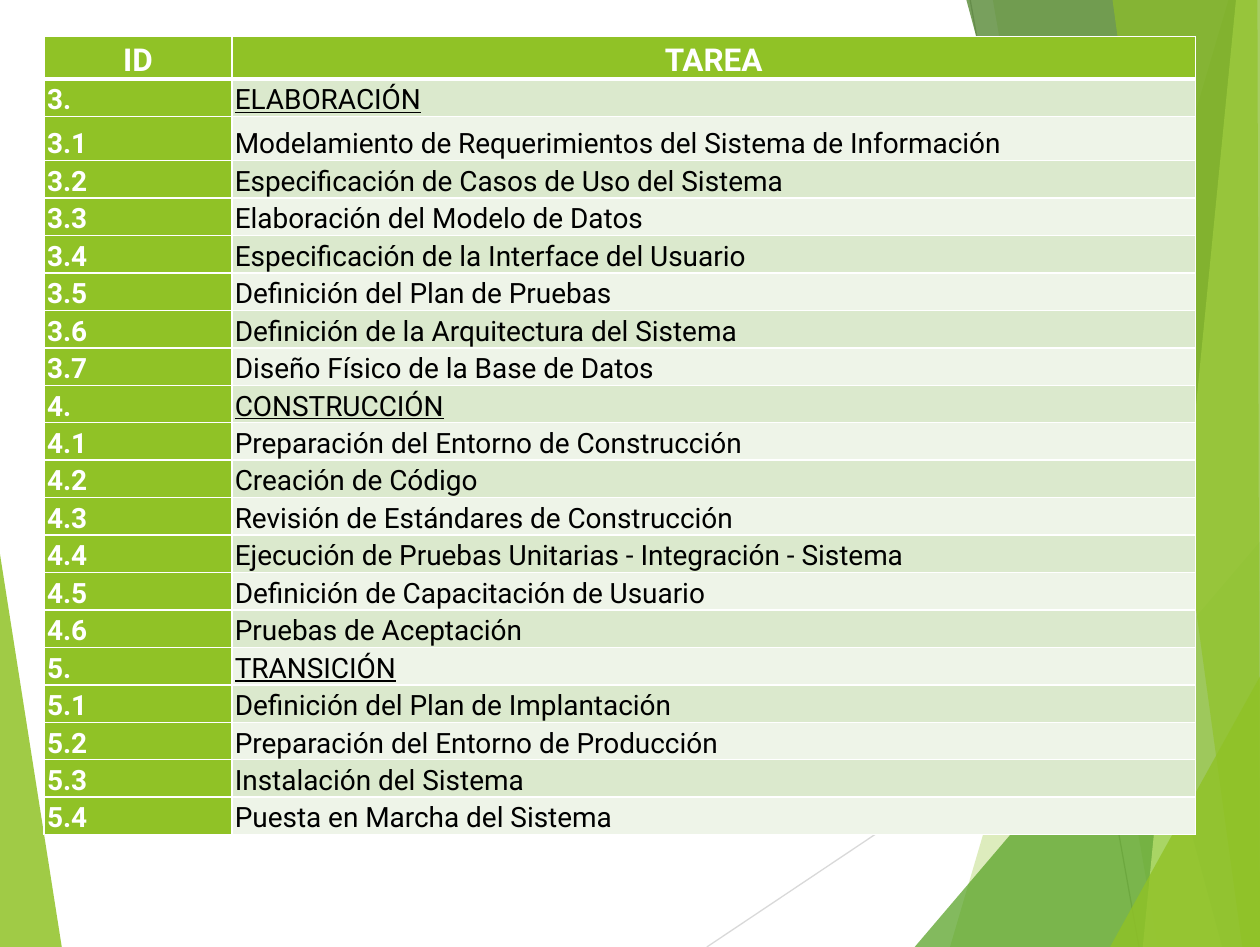
from pptx import Presentation
from pptx.dml.color import RGBColor
from pptx.enum.shapes import MSO_CONNECTOR
from pptx.enum.text import MSO_ANCHOR, PP_ALIGN
from pptx.oxml import parse_xml
from pptx.oxml.ns import nsdecls, qn
from pptx.util import Inches, Pt
from lxml.etree import SubElement

WIDTH, HEIGHT = 10, Pt(541.25).inches

THEME = {
    "font": "Roboto",
    "header_size": 18,
    "body_size": 16,
    "line_spacing": 1.15,
    "green": "90C226",
    "forest": "54A021",
    "dark_green": "3F7819",
    "lime": "C0E474",
    "bands": ("DBE9CD", "EEF4E8"),
    "white": "FFFFFF",
    "black": "000000",
    "light_gray": "D9D9D9",
    "gray": "BFBFBF",
}

HEADERS = ("ID", "TAREA")
PHASES = [
    (3, "ELABORACIÓN", [
        "Modelamiento de Requerimientos del Sistema de Información",
        "Especificación de Casos de Uso del Sistema",
        "Elaboración del Modelo de Datos",
        "Especificación de la Interface del Usuario",
        "Definición del Plan de Pruebas",
        "Definición de la Arquitectura del Sistema",
        "Diseño Físico de la Base de Datos",
    ]),
    (4, "CONSTRUCCIÓN", [
        "Preparación del Entorno de Construcción",
        "Creación de Código",
        "Revisión de Estándares de Construcción",
        "Ejecución de Pruebas Unitarias - Integración - Sistema",
        "Definición de Capacitación de Usuario",
        "Pruebas de Aceptación",
    ]),
    (5, "TRANSICIÓN", [
        "Definición del Plan de Implantación",
        "Preparación del Entorno de Producción",
        "Instalación del Sistema",
        "Puesta en Marcha del Sistema",
    ]),
]

TABLE_LEFT, TABLE_TOP = 0.35, 0.29
COLUMN_WIDTHS = (1.49, 7.65)
HEADER_HEIGHT, ROW_HEIGHT, TALL_ROW_HEIGHT = 0.32, 0.28, 0.35
TALL_ROW = 2

LEFT_FACET = ("green", 85, [(0, 4.4), (0.49, HEIGHT), (0, HEIGHT)])
RAYS = [
    ("light_gray", (5.61, HEIGHT), (WIDTH, 4.58)),
    ("gray", (7.7, 0), (9.04, HEIGHT)),
]
RIGHT_FACETS = [
    ("green", 30, [(9.75, 0), (7.54, HEIGHT), (WIDTH, HEIGHT), (WIDTH, 0)]),
    ("green", 20, [(7.88, 0), (9.19, HEIGHT), (WIDTH, HEIGHT), (WIDTH, 0)]),
    ("forest", 72, [(7.26, HEIGHT), (WIDTH, 4.3), (WIDTH, HEIGHT)]),
    ("dark_green", 70, [(7.67, 0), (9.7, HEIGHT), (WIDTH, HEIGHT), (WIDTH, 0)]),
    ("lime", 70, [(9.81, 0), (9.07, HEIGHT), (WIDTH, HEIGHT), (WIDTH, 0)]),
    ("green", 65, [(8.83, 0), (9.86, HEIGHT), (WIDTH, HEIGHT), (9.98, 0)]),
    ("green", 80, [(8.81, HEIGHT), (WIDTH, 5.37), (WIDTH, HEIGHT)]),
]


def color(value):
    return RGBColor.from_string(value)


def add_facet(slide, color_name, opacity, points):
    corners = [(Inches(x), Inches(y)) for x, y in points]
    builder = slide.shapes.build_freeform(*corners[0], scale=1.0)
    builder.add_line_segments(corners[1:], close=True)
    shape = builder.convert_to_shape()
    shape.shadow.inherit = False
    shape.fill.solid()
    shape.fill.fore_color.rgb = color(THEME[color_name])
    shape.line.fill.background()
    fill_color = shape.element.spPr.find(f"{qn('a:solidFill')}/{qn('a:srgbClr')}")
    SubElement(fill_color, qn("a:alpha")).set("val", str(opacity * 1000))


def add_ray(slide, color_name, start, end):
    ends = [Inches(value) for value in (*start, *end)]
    connector = slide.shapes.add_connector(MSO_CONNECTOR.STRAIGHT, *ends)
    connector.line.color.rgb = color(THEME[color_name])
    connector.line.width = Pt(0.75)
    SubElement(connector.element.spPr, qn("a:effectLst"))


def add_borders(cell, widths):
    properties = cell._tc.get_or_add_tcPr()
    for index, (side, width) in enumerate(widths.items()):
        border = parse_xml(
            f'<a:ln{side} {nsdecls("a")} w="{Pt(width)}"><a:solidFill>'
            f'<a:srgbClr val="{THEME["white"]}"/></a:solidFill></a:ln{side}>')
        properties.insert(index, border)


def fill_cell(cell, text, fill, font_color, size, bold, underline, alignment, borders):
    cell.margin_left = cell.margin_right = Pt(1.75)
    cell.margin_top = cell.margin_bottom = 0
    cell.vertical_anchor = MSO_ANCHOR.BOTTOM
    cell.fill.solid()
    cell.fill.fore_color.rgb = color(fill)
    cell.text_frame.text = text
    paragraph = cell.text_frame.paragraphs[0]
    paragraph.alignment = alignment
    paragraph.line_spacing = THEME["line_spacing"]
    font = paragraph.runs[0].font
    font.name = THEME["font"]
    font.size = Pt(size)
    font.bold = bold
    font.underline = underline
    font.color.rgb = color(font_color)
    add_borders(cell, borders)


def add_task_table(slide):
    rows = [HEADERS]
    for number, phase, tasks in PHASES:
        rows.append((f"{number}.", phase))
        rows += [(f"{number}.{step}", task) for step, task in enumerate(tasks, 1)]
    heights = [HEADER_HEIGHT] + [ROW_HEIGHT] * (len(rows) - 1)
    heights[TALL_ROW] = TALL_ROW_HEIGHT
    phase_names = [phase for _, phase, _ in PHASES]

    table = slide.shapes.add_table(
        len(rows), len(HEADERS), Inches(TABLE_LEFT), Inches(TABLE_TOP),
        Inches(sum(COLUMN_WIDTHS)), Inches(sum(heights))).table
    for column, width in zip(table.columns, COLUMN_WIDTHS):
        column.width = Inches(width)
    for row_index, (row, height) in enumerate(zip(rows, heights)):
        table.rows[row_index].height = Inches(height)
        is_header = row_index == 0
        borders = {"L": 1, "R": 1,
                   "T": 3 if row_index == 1 else 1,
                   "B": 3 if is_header else 1}
        for column_index, text in enumerate(row):
            is_accent = is_header or column_index == 0
            if is_header:
                alignment = PP_ALIGN.CENTER
            elif is_accent or row_index == len(rows) - 1:
                alignment = PP_ALIGN.LEFT
            else:
                alignment = PP_ALIGN.JUSTIFY
            fill_cell(
                table.cell(row_index, column_index), text,
                fill=THEME["green"] if is_accent else THEME["bands"][(row_index - 1) % 2],
                font_color=THEME["white"] if is_accent else THEME["black"],
                size=THEME["header_size"] if is_header else THEME["body_size"],
                bold=is_accent,
                underline=text in phase_names,
                alignment=alignment,
                borders=borders)


def main():
    presentation = Presentation()
    presentation.slide_width = Inches(WIDTH)
    presentation.slide_height = Inches(HEIGHT)
    slide = presentation.slides.add_slide(presentation.slide_layouts[6])
    add_facet(slide, *LEFT_FACET)
    for ray in RAYS:
        add_ray(slide, *ray)
    for facet in RIGHT_FACETS:
        add_facet(slide, *facet)
    add_task_table(slide)
    presentation.save("out.pptx")


if __name__ == "__main__":
    main()
